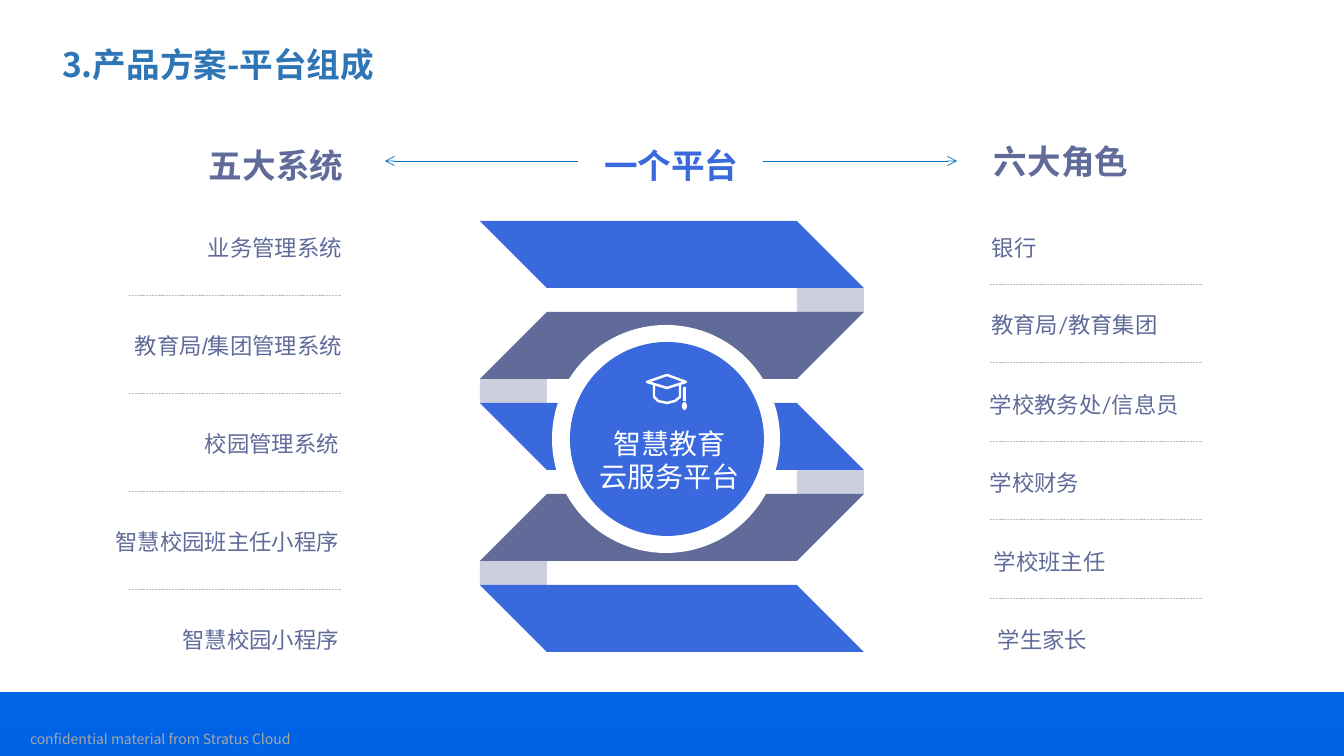
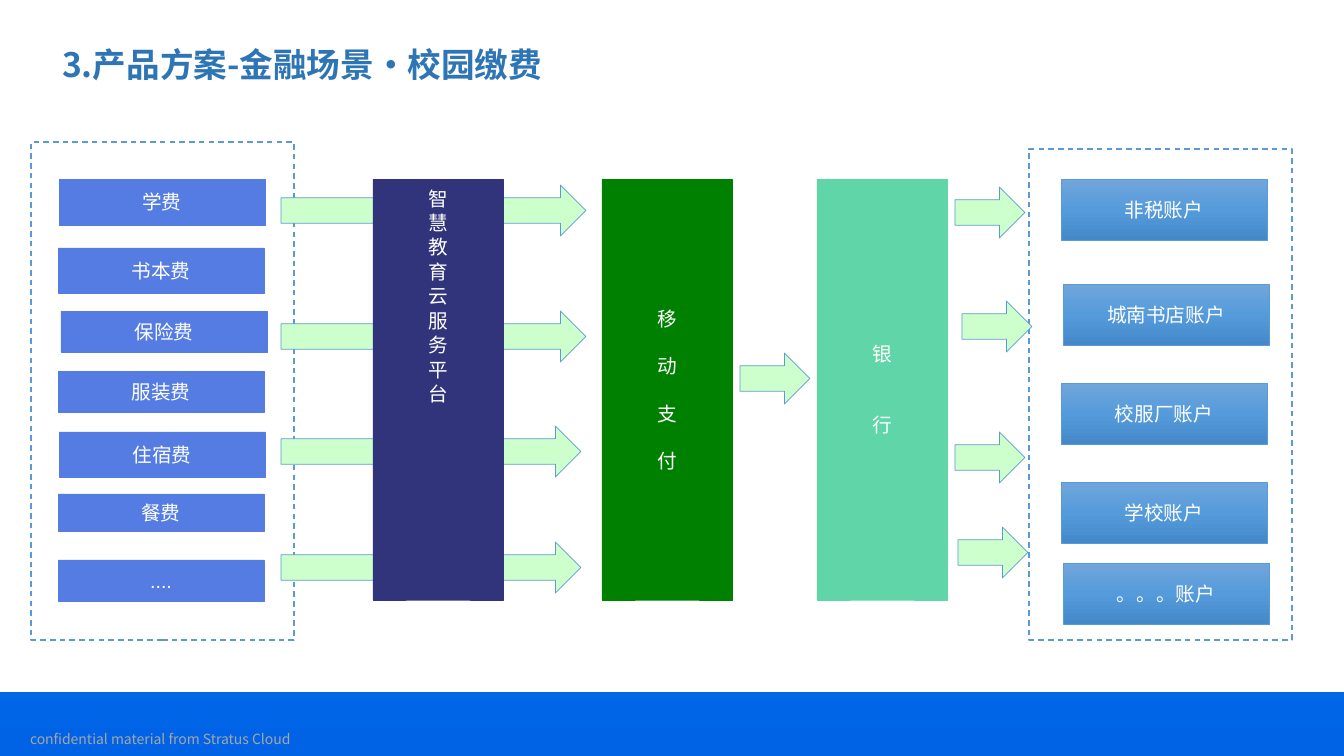
"""Builds two slides on an education cloud platform."""
from dataclasses import dataclass
from typing import Optional

import lxml.etree
import pptx
import pptx.dml.color
import pptx.enum.dml
import pptx.enum.shapes
import pptx.enum.text
import pptx.oxml.ns
import pptx.util

PX = 914400 / 100.8
CJK = "Noto Sans CJK SC"
COLORS = {
    "white": "FFFFFF", "title": "2E75B6", "footer": "A6A6A6", "band_top": "0099EE",
    "band": "0063E6", "slate": "606B9A", "blue": "3A69DE", "fold": "7E87AE",
    "divider": "BFBFBF", "pointer": "0070C0", "outline": "5B9BD5", "fee": "547CE2",
    "platform": "31337B", "payment": "008000", "bank": "60D5A7", "flow": "CCFFCC",
    "account_top": "71A6DB", "account_mid": "559BDB", "account_end": "448ACA",
}
SHAPE = pptx.enum.shapes.MSO_SHAPE
DASH = pptx.enum.dml.MSO_LINE
ALIGN = pptx.enum.text.PP_ALIGN
ANCHOR = pptx.enum.text.MSO_ANCHOR
qn = pptx.oxml.ns.qn


@dataclass(frozen=True)
class Box:
    x: int
    y: int
    w: int
    h: int


@dataclass(frozen=True)
class Style:
    size: int
    color: str = "white"
    font: str = CJK
    bold: bool = False
    align: ALIGN = ALIGN.CENTER
    anchor: ANCHOR = ANCHOR.MIDDLE
    gap: int = 0


@dataclass(frozen=True)
class Label:
    text: str
    x: int
    font: str = "Lato"


@dataclass(frozen=True)
class Heading:
    text: str
    x: int
    y: int
    color: str


@dataclass(frozen=True)
class Fee:
    text: str
    x: int
    y: int
    h: int
    font: str = CJK


@dataclass(frozen=True)
class Account:
    text: str
    x: int
    y: int


@dataclass(frozen=True)
class Stage:
    text: str
    x: int
    color: str
    gap: int


def px(n: int) -> pptx.util.Emu:
    return pptx.util.Emu(round(n * PX))


def place(b: Box) -> tuple:
    return px(b.x), px(b.y), px(b.w), px(b.h)


def rgb(name: str) -> pptx.dml.color.RGBColor:
    return pptx.dml.color.RGBColor.from_string(COLORS[name])


def write(shape, text: str, st: Style) -> None:
    tf = shape.text_frame
    tf.text = text
    tf.word_wrap = True
    tf.vertical_anchor = st.anchor
    for i, p in enumerate(tf.paragraphs):
        p.alignment = st.align
        if i and st.gap:
            p.space_before = pptx.util.Pt(st.gap)
        for r in p.runs:
            r.font.size = pptx.util.Pt(st.size)
            r.font.bold = st.bold
            r.font.color.rgb = rgb(st.color)
            r.font.name = st.font
    for props in shape.element.iter(qn("a:rPr")):
        lxml.etree.SubElement(props, qn("a:ea"), typeface=CJK)


def add_text(s, b: Box, text: str, st: Style, inset: int = 0):
    shape = s.shapes.add_textbox(*place(b))
    write(shape, text, st)
    tf = shape.text_frame
    tf.margin_left = tf.margin_right = px(inset)
    tf.margin_top = tf.margin_bottom = px(inset // 2)
    return shape


def paint(shape, fill: Optional[str], line: Optional[str] = None, width: float = 0.5) -> None:
    shape.shadow.inherit = False
    if fill:
        shape.fill.solid()
        shape.fill.fore_color.rgb = rgb(fill)
    else:
        shape.fill.background()
    if line:
        shape.line.color.rgb = rgb(line)
        shape.line.width = pptx.util.Pt(width)
    else:
        shape.line.fill.background()


def add_shape(s, kind: SHAPE, b: Box, fill: str, line: Optional[str] = None, width: float = 0.5):
    shape = s.shapes.add_shape(kind, *place(b))
    paint(shape, fill, line, width)
    return shape


def add_gradient(shape, names: list[str]) -> None:
    shape.fill.gradient()
    shape.fill.gradient_angle = 270
    stops = next(shape.element.iter(qn("a:gsLst")))
    for stop in list(stops):
        stops.remove(stop)
    for i, name in enumerate(names):
        pos = str(100000 * i // (len(names) - 1))
        stop = lxml.etree.SubElement(stops, qn("a:gs"), pos=pos)
        lxml.etree.SubElement(stop, qn("a:srgbClr"), val=COLORS[name])


def add_outline(s, points: list[tuple[int, int]], closed: bool = True):
    builder = s.shapes.build_freeform(*points[0], scale=PX)
    builder.add_line_segments(points[1:], close=closed)
    return builder.convert_to_shape()


def add_line(s, x1: int, x2: int, y: int, color: str, dashed: bool = False, arrow: bool = False) -> None:
    kind = pptx.enum.shapes.MSO_CONNECTOR.STRAIGHT
    line = s.shapes.add_connector(kind, px(x1), px(y), px(x2), px(y))
    line.line.color.rgb = rgb(color)
    line.line.width = pptx.util.Pt(0.5)
    if dashed:
        line.line.dash_style = DASH.SQUARE_DOT
    if arrow:
        lxml.etree.SubElement(line.element.spPr.find(qn("a:ln")), qn("a:tailEnd"), type="arrow")
    lxml.etree.SubElement(line.element.spPr, qn("a:effectLst"))


def set_layout(prs, layout) -> None:
    """Gives the layout its title position, bottom band and footer."""
    for ph in list(layout.placeholders):
        if ph.placeholder_format.idx:
            ph.element.getparent().remove(ph.element)
        else:
            ph.left, ph.top, ph.width, ph.height = place(Box(52, 36, 1159, 62))
    s = prs.slides[0]
    band = add_shape(s, SHAPE.RECTANGLE, Box(0, 0, 1344, 756), "band")
    add_gradient(band, ["band_top", "band"])
    page = add_shape(s, SHAPE.RECTANGLE, Box(0, 0, 1344, 692), "white")
    footer = add_text(s, Box(20, 719, 366, 40), "confidential material from Stratus Cloud",
                      Style(10, "footer", align=ALIGN.LEFT), 10)
    for i, shape in enumerate((band, page, footer)):
        layout.shapes.element.insert(2 + i, shape.element)


def set_title(s, text: str) -> None:
    title = s.shapes.title
    write(title, text, Style(24, "title", bold=True, align=ALIGN.LEFT))
    title.text_frame.auto_size = pptx.enum.text.MSO_AUTO_SIZE.NONE
    title.text_frame.paragraphs[0].line_spacing = 0.9


def add_column(s, labels: list[Label], align: ALIGN, line_x: int, line_y: int) -> None:
    """Spreads labels down one column with dashed dividers between them."""
    pitch = 392 / (len(labels) - 1)
    for i, label in enumerate(labels):
        x = label.x - 245 if align == ALIGN.RIGHT else label.x
        y = 228 + round(pitch * i)
        if align == ALIGN.CENTER:
            align = ALIGN.LEFT
        add_text(s, Box(x, y, 245, 39), label.text, Style(16, "slate", label.font, align=align))
        if i < len(labels) - 1:
            add_line(s, line_x, line_x + 212, line_y + round(pitch * i), "divider", dashed=True)


def add_ribbon(s) -> None:
    left, right, slant, top, pitch = 480, 864, 67, 221, 91
    for i in range(4):
        x = left if i % 2 else right - slant
        fold = add_shape(s, SHAPE.RECTANGLE, Box(x, top + pitch * i + slant, slant, pitch - slant), "fold")
        color = next(fold.element.spPr.iter(qn("a:srgbClr")))
        lxml.etree.SubElement(color, qn("a:alpha"), val="40000")
    for i in range(5):
        y = top + pitch * i
        ends = (y + slant, y) if i % 2 else (y, y + slant)
        points = [(left, ends[0]), (right - slant, ends[0]), (right, ends[1]), (left + slant, ends[1])]
        paint(add_outline(s, points), "slate" if i % 2 else "blue")


def add_cap(s) -> None:
    board = [(647, 382), (667, 375), (686, 382), (667, 388)]
    bowl = [(654, 385), (654, 397), (658, 401), (667, 403), (675, 401), (680, 397), (680, 385)]
    for points, closed in ((board, True), (bowl, False)):
        paint(add_outline(s, points, closed), None, "white", 1.75)
    add_shape(s, SHAPE.ROUNDED_RECTANGLE, Box(683, 387, 3, 14), "white")
    add_shape(s, SHAPE.OVAL, Box(682, 402, 5, 8), "white")


def build_platform(s) -> None:
    set_title(s, "3.产品方案-平台组成")
    add_column(s, [Label("业务管理系统", 342), Label("教育局/集团管理系统", 342, "Arial"),
                   Label("校园管理系统", 339), Label("智慧校园班主任小程序", 339),
                   Label("智慧校园小程序", 339)], ALIGN.RIGHT, 129, 295)
    roles = [Label("银行", 992), Label("", 990), Label("学校教务处/信息员", 990),
             Label("学校财务", 990), Label("学校班主任", 994), Label("学生家长", 998)]
    add_column(s, roles, ALIGN.LEFT, 990, 284)
    bureau = next(shape for shape in s.shapes if shape.has_text_frame and not shape.text_frame.text)
    bureau.left, bureau.top, bureau.width, bureau.height = place(Box(991, 311, 167, 54))
    write(bureau, "教育局/教育集团", Style(16, "slate", "Lato", anchor=ANCHOR.TOP))
    for h in (Heading("五大系统", 199, 140, "slate"), Heading("一个平台", 594, 140, "blue"),
              Heading("六大角色", 984, 136, "slate")):
        st = Style(24, h.color, bold=True, align=ALIGN.LEFT, anchor=ANCHOR.TOP)
        add_text(s, Box(h.x, h.y, 156, 51), h.text, st, 10).text_frame.word_wrap = False
    for x1, x2 in ((578, 385), (763, 957)):
        add_line(s, x1, x2, 161, "pointer", arrow=True)
    add_ribbon(s)
    add_shape(s, SHAPE.OVAL, Box(552, 325, 228, 228), "white")
    add_shape(s, SHAPE.OVAL, Box(570, 342, 194, 194), "blue")
    add_text(s, Box(570, 421, 200, 78), "智慧教育\n云服务平台", Style(20, anchor=ANCHOR.TOP), 10)
    add_cap(s)


def build_payment(s) -> None:
    set_title(s, "3.产品方案-金融场景·校园缴费")
    for b in (Box(1029, 149, 263, 491), Box(31, 142, 263, 498)):
        add_shape(s, SHAPE.RECTANGLE, b, "white", "outline", 1).line.dash_style = DASH.DASH
    for fee in (Fee("学费", 59, 179, 46), Fee("书本费", 58, 248, 45), Fee("保险费", 61, 311, 41),
                Fee("服装费", 58, 371, 41), Fee("住宿费", 59, 432, 45), Fee("餐费", 58, 494, 37),
                Fee("....", 58, 560, 41, "Arial")):
        shape = add_shape(s, SHAPE.RECTANGLE, Box(fee.x, fee.y, 206, fee.h), "fee", "fee")
        write(shape, fee.text, Style(14, font=fee.font))
    for a in (Account("非税账户", 1061, 179), Account("城南书店账户", 1063, 284),
              Account("校服厂账户", 1061, 383), Account("学校账户", 1061, 482),
              Account("。。。账户", 1063, 563)):
        shape = add_shape(s, SHAPE.RECTANGLE, Box(a.x, a.y, 206, 61), "account_mid", "outline")
        add_gradient(shape, ["account_top", "account_mid", "account_end"])
        write(shape, a.text, Style(14))
    for x, y, w in ((281, 185, 305), (281, 311, 305), (281, 426, 300), (281, 542, 300),
                    (740, 353, 70), (955, 187, 70), (962, 301, 70), (955, 432, 70), (958, 527, 70)):
        add_shape(s, SHAPE.RIGHT_ARROW, Box(x, y, w, 51), "flow", "outline")
    for stage in (Stage("移\n动\n支\n付", 602, "payment", 17), Stage("银\n行", 817, "bank", 34),
                  Stage("智 慧 教 育 云 服 务 平 台", 373, "platform", 0)):
        shape = add_shape(s, SHAPE.RECTANGLE, Box(stage.x, 179, 130, 421), stage.color, stage.color)
        align = ALIGN.CENTER if stage.gap else ALIGN.LEFT
        write(shape, stage.text, Style(14, font="Arial", align=align, gap=stage.gap))
        if not stage.gap:
            next(shape.element.iter(qn("a:bodyPr"))).set("vert", "eaVert")


def main() -> None:
    prs = pptx.Presentation()
    prs.slide_width, prs.slide_height = px(1344), px(756)
    layout = prs.slide_layouts[5]
    platform, payment = (prs.slides.add_slide(layout) for _ in range(2))
    set_layout(prs, layout)
    build_platform(platform)
    build_payment(payment)
    prs.save("out.pptx")


if __name__ == "__main__":
    main()
